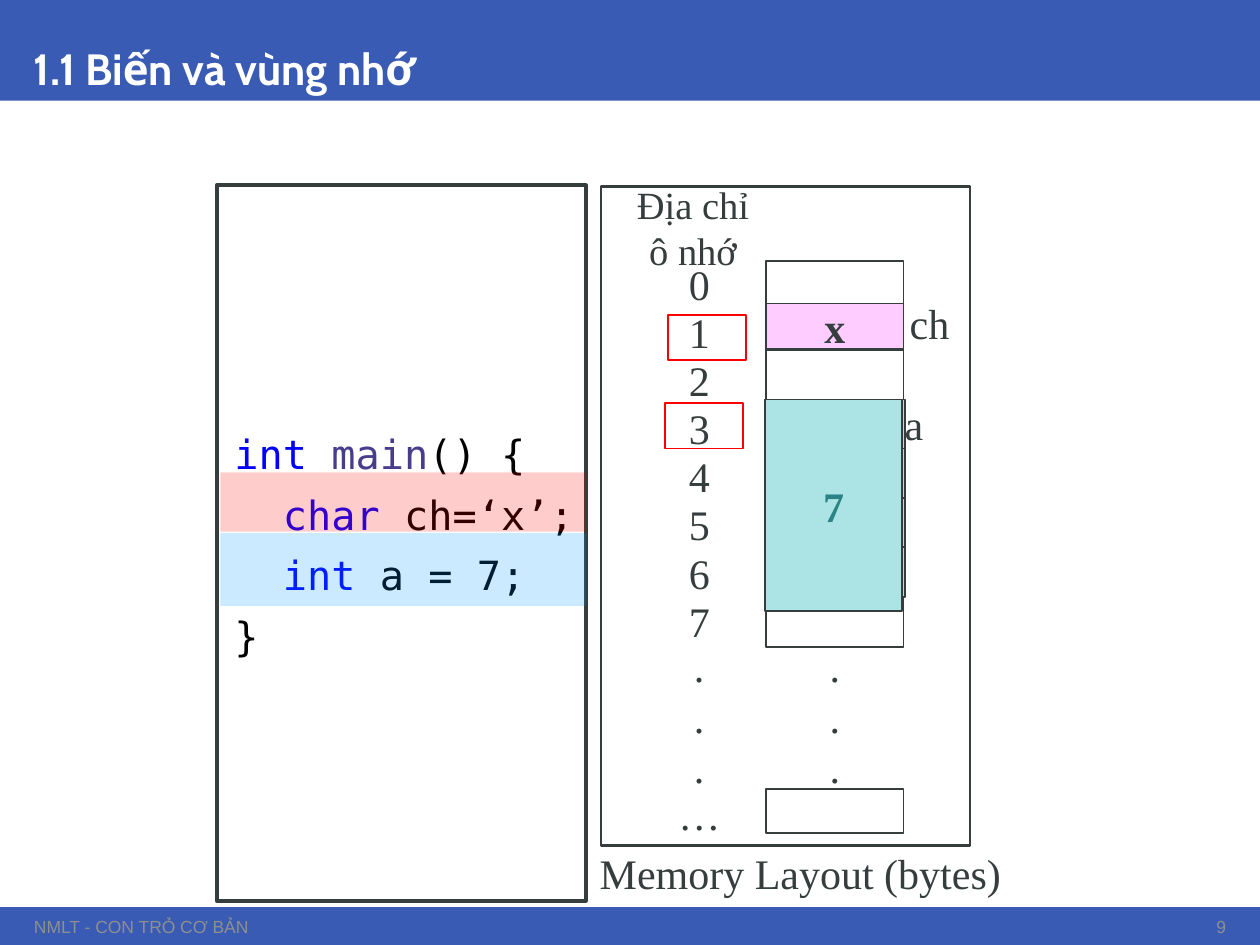
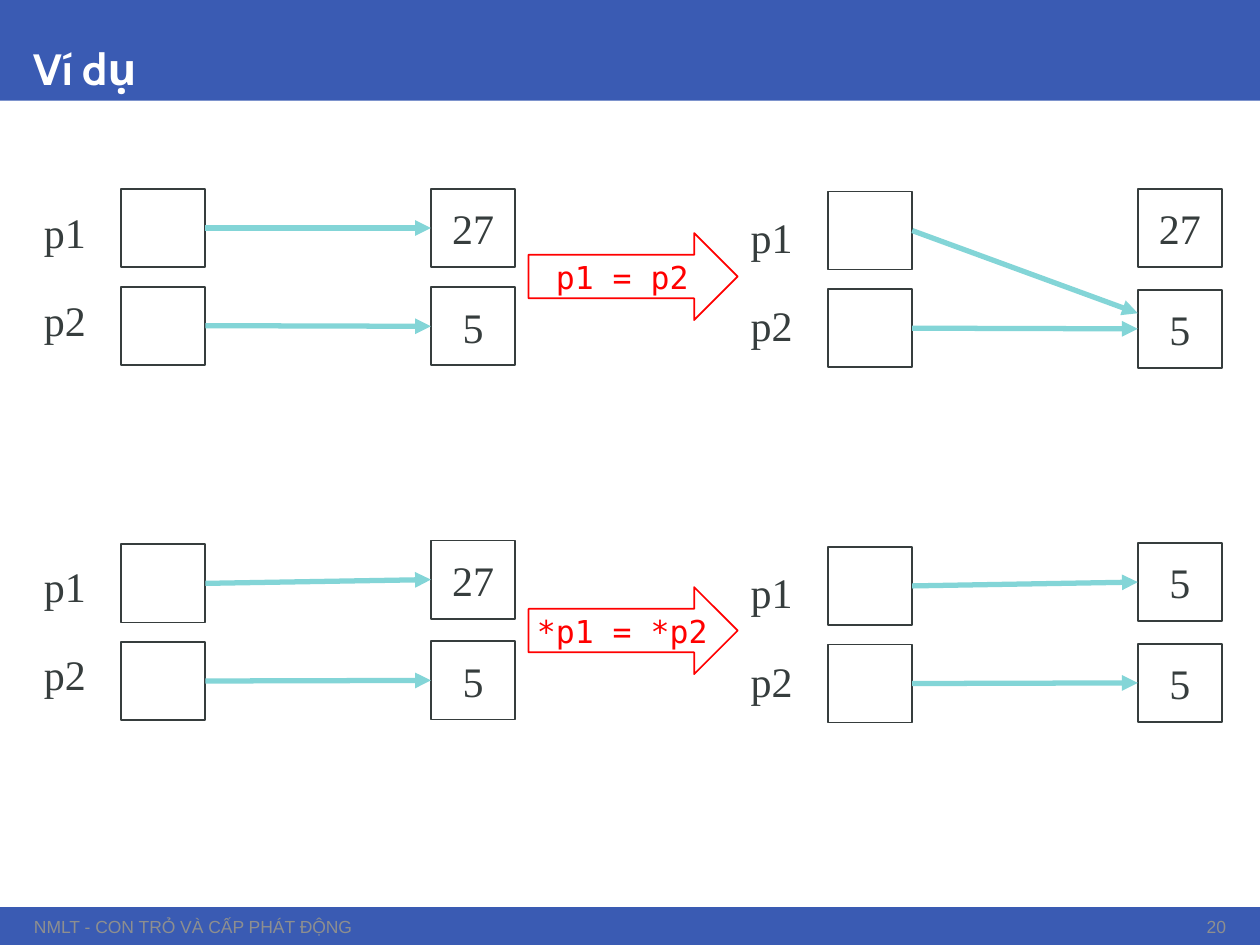
"""Build two slides on variables in memory and pointer assignment."""
from dataclasses import dataclass, replace
from itertools import accumulate
from typing import Optional

from lxml.etree import SubElement
from pptx import Presentation
from pptx.dml.color import RGBColor
from pptx.enum.shapes import MSO_CONNECTOR, MSO_SHAPE
from pptx.enum.text import MSO_ANCHOR, PP_ALIGN
from pptx.oxml.ns import qn
from pptx.util import Inches, Pt

WIDTH, HEIGHT = Inches(10), Inches(7.5)
COLUMNS, ROWS = 100, 75

BAND = RGBColor(0x3A, 0x5B, 0xB3)
WHITE = RGBColor(0xFF, 0xFF, 0xFF)
BLACK = RGBColor(0x00, 0x00, 0x00)
INK = RGBColor(0x36, 0x3D, 0x3D)
GREY = RGBColor(0x8E, 0x8F, 0x8F)
RED = RGBColor(0xFF, 0x00, 0x00)
SKY = RGBColor(0x00, 0x99, 0xFF)
PINK = RGBColor(0xFF, 0xCC, 0xFF)
PALE_TEAL = RGBColor(0xAC, 0xE3, 0xE4)
TEAL = RGBColor(0x83, 0xD5, 0xD7)
DEEP_TEAL = RGBColor(0x2C, 0x83, 0x86)
KEYWORD = RGBColor(0x00, 0x00, 0xFF)
FUNCTION = RGBColor(0x48, 0x3D, 0x8B)

MONO = "DejaVu Sans Mono"


@dataclass(frozen=True)
class Area:
    """A rectangle in grid columns and rows."""
    left: float
    top: float
    width: float
    height: float

    def emu(self) -> tuple:
        """Return left, top, width and height as slide lengths."""
        column, row = WIDTH / COLUMNS, HEIGHT / ROWS
        return (round(self.left * column), round(self.top * row),
                round(self.width * column), round(self.height * row))


@dataclass(frozen=True)
class TextStyle:
    """The look of a text."""
    font: str = "Times New Roman"
    size: float = 24
    color: RGBColor = INK
    bold: bool = False
    align: PP_ALIGN = PP_ALIGN.CENTER
    anchor: MSO_ANCHOR = MSO_ANCHOR.MIDDLE
    spacing: Optional[float] = None


@dataclass(frozen=True)
class BoxStyle:
    """The look of a preset shape."""
    fill: Optional[RGBColor] = None
    line: Optional[RGBColor] = INK
    weight: float = 1
    opacity: int = 100
    preset: MSO_SHAPE = MSO_SHAPE.RECTANGLE


@dataclass(frozen=True)
class PointerDiagram:
    """Two pointers, the two values and the value each pointer aims at."""
    left: float
    pointer_top: float
    label_top: float
    value_tops: tuple
    values: tuple
    crossed: bool = False


BODY = TextStyle()
LEFT_BODY = replace(BODY, align=PP_ALIGN.LEFT)
TITLE = TextStyle("Cabin", 25, WHITE, True, PP_ALIGN.LEFT, MSO_ANCHOR.BOTTOM, 0.9)
FOOTER = TextStyle("Arial", 10, GREY, align=PP_ALIGN.LEFT)
PAGE = replace(FOOTER, align=PP_ALIGN.RIGHT)
CODE = TextStyle(MONO, 23, BLACK, align=PP_ALIGN.LEFT, anchor=MSO_ANCHOR.TOP)
STATEMENT = TextStyle(MONO, 18, RED)

OUTLINE = BoxStyle()
BAND_BOX = BoxStyle(BAND, None)
INTEGER_BYTE = BoxStyle(PALE_TEAL)
ADDRESS_MARK = BoxStyle(line=RED)
STATEMENT_ARROW = BoxStyle(WHITE, RED, preset=MSO_SHAPE.RIGHT_ARROW)

CODE_LINES = (
    (("int ", KEYWORD), ("main", FUNCTION), ("() {", BLACK)),
    (("  ", BLACK), ("char", KEYWORD), (" ch=‘x’;", BLACK)),
    (("  ", BLACK), ("int", KEYWORD), (" a = 7;", BLACK)),
    (("}", BLACK),),
)
MEMORY_LEFT, MEMORY_WIDTH = 60.8, 10.9
ADDRESS_LEFT, ADDRESS_WIDTH = 50.8, 9.4
CELL_HEIGHTS = (3.6, 3.5, 3.95, 4, 4, 3.7, 4, 3.9)
LABEL_HEIGHT = 4.6

DIAGRAMS = (
    PointerDiagram(9.6, 15, 16.1, (15, 22.8), ("27", "5")),
    PointerDiagram(65.7, 15.2, 16.5, (15, 23), ("27", "5"), True),
    PointerDiagram(9.6, 43.2, 44.2, (42.9, 50.9), ("27", "5")),
    PointerDiagram(65.7, 43.4, 44.7, (43.1, 51.1), ("5", "5")),
)


def set_text(frame, text: str, style: TextStyle) -> None:
    """Write the text into a frame and format it."""
    frame.text = text
    frame.word_wrap = True
    frame.vertical_anchor = style.anchor
    frame.margin_left = frame.margin_right = Inches(0.05)
    frame.margin_top = frame.margin_bottom = Inches(0.05)
    for paragraph in frame.paragraphs:
        paragraph.alignment = style.align
        if style.spacing:
            paragraph.line_spacing = style.spacing
        for run in paragraph.runs:
            set_font(run.font, style, style.color)


def set_font(font, style: TextStyle, color: RGBColor) -> None:
    """Apply typeface, size, weight and colour."""
    font.name, font.size, font.bold = style.font, Pt(style.size), style.bold
    font.color.rgb = color


def add_text(slide, area: Area, text: str, style: TextStyle = BODY):
    """Place a text box."""
    label = slide.shapes.add_textbox(*area.emu())
    set_text(label.text_frame, text, style)
    return label


def add_box(slide, area: Area, style: BoxStyle = OUTLINE, text: str = "",
            text_style: TextStyle = BODY):
    """Place a preset shape, with a text if there is one."""
    box = slide.shapes.add_shape(style.preset, *area.emu())
    box.shadow.inherit = False
    if style.fill is None:
        box.fill.background()
    else:
        box.fill.solid()
        box.fill.fore_color.rgb = style.fill
        if style.opacity < 100:
            color = box.fill._xPr.find(qn("a:solidFill"))[0]
            SubElement(color, qn("a:alpha"), val=str(style.opacity * 1000))
    if style.line is None:
        box.line.fill.background()
    else:
        box.line.color.rgb = style.line
        box.line.width = Pt(style.weight)
    if text:
        set_text(box.text_frame, text, text_style)
    return box


def add_pointer(slide, pointer, value, upper_corner: bool = False) -> None:
    """Draw an arrow from a pointer box to a value box."""
    end_y = value.top + round(value.height * (0.3 if upper_corner else 0.5))
    arrow = slide.shapes.add_connector(
        MSO_CONNECTOR.STRAIGHT, pointer.left + pointer.width,
        pointer.top + pointer.height // 2, value.left, end_y)
    arrow.begin_connect(pointer, 3)
    if not upper_corner:
        arrow.end_connect(value, 1)
    arrow.line.color.rgb = TEAL
    arrow.line.width = Pt(3)
    SubElement(arrow.line._get_or_add_ln(), qn("a:tailEnd"), type="triangle")
    SubElement(arrow._element.spPr, qn("a:effectLst"))


def add_slide(deck, title: str, footer: str, page: str):
    """Add a blank slide with its bands, title, footer and page number."""
    slide = deck.slides.add_slide(deck.slide_layouts[6])
    add_box(slide, Area(0, 0, COLUMNS, 8), BAND_BOX)
    add_box(slide, Area(0, 72, COLUMNS, 3), BAND_BOX)
    add_text(slide, Area(2.2, 72.3, 82.6, 2.5), footer, FOOTER)
    add_text(slide, Area(2.2, 0, 95.7, 8), title, TITLE)
    add_text(slide, Area(87.8, 72.3, 10, 2.5), page, PAGE)
    return slide


def add_code(slide) -> None:
    """Draw the framed listing with its two highlighted lines."""
    add_box(slide, Area(17.2, 14.7, 29.3, 56.8), BoxStyle(weight=2.25))
    listing = add_text(slide, Area(17.2, 33.6, 29.3, 19), "", CODE).text_frame
    listing.margin_left = Inches(0.14)
    listing.word_wrap = False
    for number, line in enumerate(CODE_LINES):
        paragraph = listing.add_paragraph() if number else listing.paragraphs[0]
        paragraph.alignment = CODE.align
        if number:
            paragraph.space_before = Pt(7)
        for text, color in line:
            run = paragraph.add_run()
            run.text = text
            set_font(run.font, CODE, color)
    for top, height, color in ((37.5, 4.7, RED), (42.3, 5.8, SKY)):
        add_box(slide, Area(17.5, top, 29, height), BoxStyle(color, None, opacity=20))


def add_memory(slide) -> None:
    """Draw the memory column with addresses and the stored variables."""
    def cell(top: float, height: float, shift: float = 0) -> Area:
        return Area(MEMORY_LEFT + shift, top, MEMORY_WIDTH, height)

    def address(top: float, height: float = LABEL_HEIGHT) -> Area:
        return Area(ADDRESS_LEFT, top, ADDRESS_WIDTH, height)

    add_box(slide, Area(47.7, 14.8, 29.3, 52.3), BoxStyle(WHITE, weight=1.5))
    add_text(slide, Area(47.1, 66.8, 35.8, LABEL_HEIGHT), "Memory Layout (bytes)",
             replace(LEFT_BODY, anchor=MSO_ANCHOR.TOP))
    for top, height in zip(accumulate(CELL_HEIGHTS, initial=20.7), CELL_HEIGHTS):
        add_box(slide, cell(top, height))
    add_box(slide, cell(62.6, 3.5))
    for number in range(len(CELL_HEIGHTS)):
        add_text(slide, address(20.2 + 3.82 * number), str(number))
    for dots in (cell(50.8, 12.1), address(50.8, 12.1)):
        add_text(slide, dots, ".\n.\n.")
    add_text(slide, address(62.3), "…")
    add_text(slide, Area(49.1, 14, 11.8, 8.1), "Địa chỉ ô nhớ", replace(BODY, size=22))
    add_text(slide, Area(71.7, 23.3, 13.4, LABEL_HEIGHT), "ch", LEFT_BODY)
    add_text(slide, Area(71.3, 31.3, 13.7, LABEL_HEIGHT), "a", LEFT_BODY)

    add_box(slide, cell(24.1, 3.6), BoxStyle(PINK), "x", replace(BODY, bold=True))
    for byte in range(4):
        add_box(slide, cell(31.7 + 3.9 * byte, 4, 0.1), INTEGER_BYTE)
    add_box(slide, cell(31.7, 16.8, -0.1), INTEGER_BYTE, "7",
            replace(BODY, bold=True, color=DEEP_TEAL))
    for left, top in ((52.8, 32), (53, 25)):
        add_box(slide, Area(left, top, 6.2, 3.6), ADDRESS_MARK)


def add_diagram(slide, diagram: PointerDiagram) -> None:
    """Draw two labelled pointers, their values and the arrows between."""
    width, height = 6.7, 6.2
    pointers, values = [], []
    for index, name in enumerate(("p1", "p2")):
        pointers.append(add_box(slide, Area(
            diagram.left, diagram.pointer_top + 7.75 * index, width, height)))
        add_text(slide, Area(diagram.left - 7.8, diagram.label_top + 7 * index,
                             width, LABEL_HEIGHT), name)
        values.append(add_box(slide, Area(
            diagram.left + 24.6, diagram.value_tops[index], width, height),
            text=diagram.values[index]))
    add_pointer(slide, pointers[0], values[1 if diagram.crossed else 0], diagram.crossed)
    add_pointer(slide, pointers[1], values[1])


def main() -> None:
    """Build and save the deck."""
    deck = Presentation()
    deck.slide_width, deck.slide_height = WIDTH, HEIGHT

    variables = add_slide(deck, "1.1 Biến và vùng nhớ", "NMLT - CON TRỎ CƠ BẢN", "9")
    add_code(variables)
    add_memory(variables)

    example = add_slide(deck, "Ví dụ", "NMLT - CON TRỎ VÀ CẤP PHÁT ĐỘNG", "20")
    for diagram in DIAGRAMS:
        add_diagram(example, diagram)
    for top, statement in ((18.5, "p1 = p2"), (46.6, "*p1 = *p2")):
        add_box(example, Area(41.95, top, 16.6, 6.9), STATEMENT_ARROW,
                statement, STATEMENT)

    deck.save("out.pptx")


if __name__ == "__main__":
    main()
